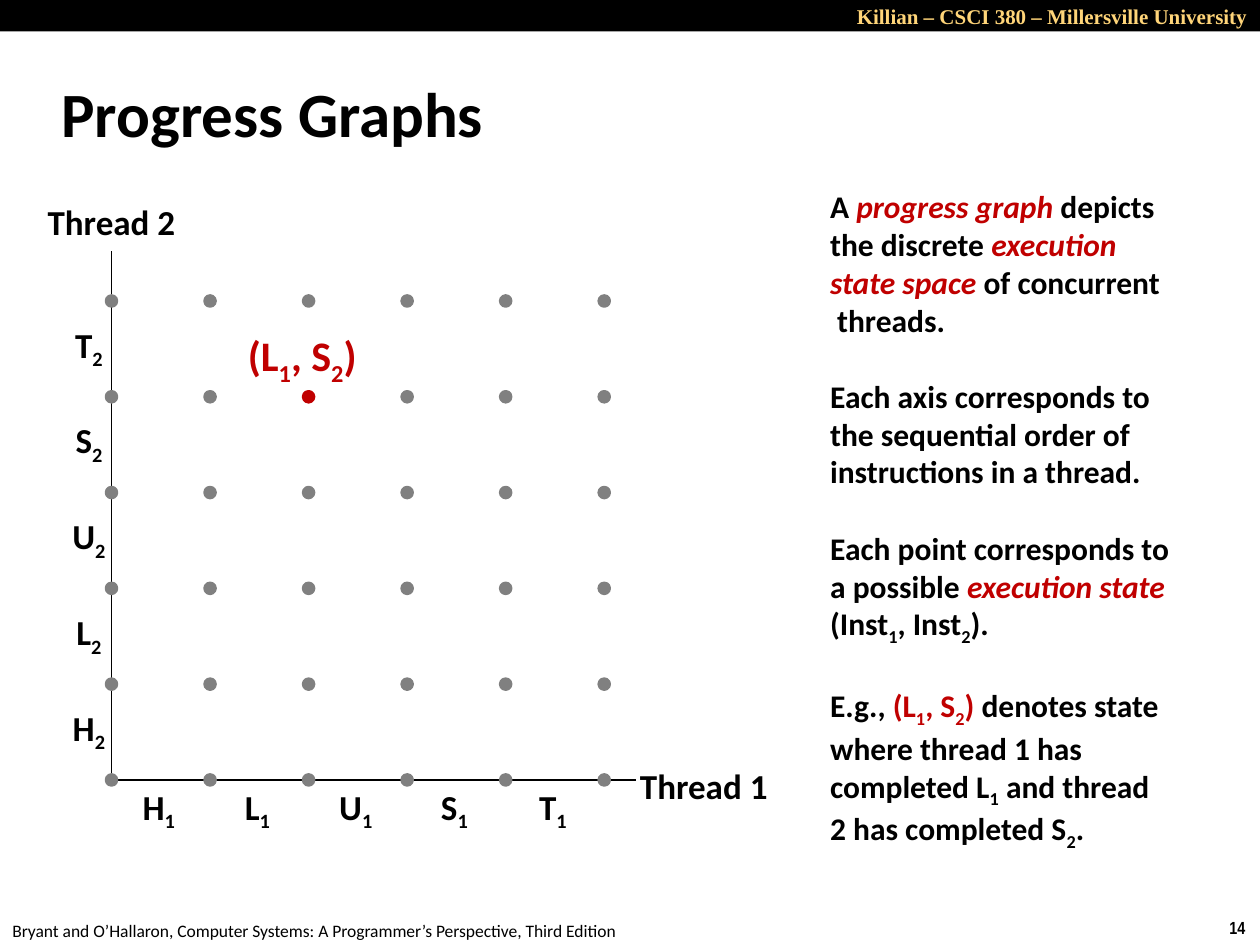
"""Builds the "Progress Graphs" slide on a grid of 100 columns by 75 rows."""
from dataclasses import dataclass
from itertools import product

from lxml import etree
from pptx import Presentation
from pptx.dml.color import RGBColor
from pptx.enum.shapes import MSO_CONNECTOR, MSO_SHAPE
from pptx.enum.text import MSO_ANCHOR, PP_ALIGN
from pptx.oxml.ns import qn
from pptx.util import Inches, Pt

STRAIGHT = MSO_CONNECTOR.STRAIGHT
RECTANGLE, OVAL = MSO_SHAPE.RECTANGLE, MSO_SHAPE.OVAL
TOP, MIDDLE = MSO_ANCHOR.TOP, MSO_ANCHOR.MIDDLE
LEFT, CENTER, RIGHT = PP_ALIGN.LEFT, PP_ALIGN.CENTER, PP_ALIGN.RIGHT
COLUMNS, ROWS = 100, 75
CELL = Inches(0.1)


@dataclass(frozen=True)
class Theme:
    """Colours, fonts and type sizes of the slide."""
    ink: str = "000000"
    accent: str = "C00000"
    dot: str = "808080"
    gold: str = "FFD579"
    body_font: str = "Calibri"
    banner_font: str = "Times New Roman"
    number_font: str = "Arial Narrow"
    title: int = 36
    state: int = 24
    label: int = 20
    body: int = 18
    banner: int = 12
    footer: int = 10
    paragraph_gap: int = 22


THEME = Theme()
STYLES = {
    "plain": {},
    "term": {"color": THEME.accent, "italic": True},
    "state": {"color": THEME.accent},
}
EXPLANATION = [
    [[("A ", "plain"), ("progress graph ", "term"), ("depicts", "plain")],
     [("the discrete ", "plain"), ("execution", "term")],
     [("state space", "term"), (" of concurrent", "plain")],
     [(" threads.", "plain")]],
    [[("Each axis corresponds to", "plain")],
     [("the sequential order of", "plain")],
     [("instructions in a thread.", "plain")]],
    [[("Each point corresponds to", "plain")],
     [("a possible ", "plain"), ("execution state", "term")],
     [("(Inst_1, Inst_2).", "plain")]],
    [[("E.g., ", "plain"), ("(L_1, S_2) ", "state"), ("denotes state", "plain")],
     [("where thread 1 has", "plain")],
     [("completed L_1 and thread", "plain")],
     [("2 has completed S_2.", "plain")]],
]


@dataclass(frozen=True)
class Box:
    """A rectangle in grid columns and rows."""
    left: float
    top: float
    width: float
    height: float

    def lengths(self):
        """Return left, top, width and height as slide lengths."""
        values = (self.left, self.top, self.width, self.height)
        return [round(value * CELL) for value in values]

    def centred(self, x, y, width, height):
        """Return a box centred at a share of this box's width and height."""
        return Box(self.left + x * self.width - width / 2,
                   self.top + y * self.height - height / 2, width, height)


def add_run(paragraph, text, font, size, color, bold=True, italic=False, subscript=False):
    """Add one formatted run to a paragraph."""
    run = paragraph.add_run()
    run.text = text
    formats = {"name": font, "size": Pt(size), "bold": bold, "italic": italic}
    for name, value in formats.items():
        setattr(run.font, name, value)
    run.font.color.rgb = RGBColor.from_string(color)
    if subscript:
        run.font._element.set("baseline", "-25000")


def add_marked_text(paragraph, text, **formats):
    """Add text in which an underscore lowers the character after it."""
    first, *rest = text.split("_")
    add_run(paragraph, first, **formats)
    for part in rest:
        add_run(paragraph, part[0], subscript=True, **formats)
        if part[1:]:
            add_run(paragraph, part[1:], **formats)


def add_text_frame(slide, box, anchor):
    """Add a wrapping text box and return its frame."""
    frame = slide.shapes.add_textbox(*box.lengths()).text_frame
    for name, value in {"word_wrap": True, "vertical_anchor": anchor}.items():
        setattr(frame, name, value)
    return frame


def add_label(slide, box, text, size, color=THEME.ink, font=THEME.body_font,
              align=CENTER, anchor=MIDDLE, bold=True):
    """Place a one-line text in the box."""
    paragraph = add_text_frame(slide, box, anchor).paragraphs[0]
    paragraph.alignment = align
    add_marked_text(paragraph, text, font=font, size=size, color=color, bold=bold)


def add_solid(slide, kind, box, color, line_width=0):
    """Place a flat shape of one colour in the box."""
    shape = slide.shapes.add_shape(kind, *box.lengths())
    shape.shadow.inherit = False
    shape.fill.solid()
    shape.fill.fore_color.rgb = RGBColor.from_string(color)
    if line_width:
        shape.line.color.rgb = RGBColor.from_string(color)
        shape.line.width = Pt(line_width)
    else:
        shape.line.fill.background()


def add_axis(slide, *ends):
    """Draw a thin straight axis between two grid points."""
    axis = slide.shapes.add_connector(STRAIGHT, *(round(end * CELL) for end in ends))
    axis.line.color.rgb = RGBColor.from_string(THEME.ink)
    axis.line.width = Pt(1)
    etree.SubElement(axis._element.spPr, qn("a:effectLst"))


def add_banner(slide, box):
    """Place the course banner."""
    add_solid(slide, RECTANGLE, box, THEME.ink)
    add_label(slide, box, "Killian – CSCI 380 – Millersville University",
              THEME.banner, THEME.gold, THEME.banner_font, RIGHT)


def add_footer(slide, box):
    """Place the book title and the slide number."""
    number_width = 3.4
    credit = Box(box.left, box.top, box.width * 0.6, box.height)
    number = Box(box.left + box.width - number_width, box.top - 0.2,
                 number_width, box.height)
    add_label(slide, credit,
              "Bryant and O’Hallaron, Computer Systems: A Programmer’s Perspective, Third Edition",
              THEME.footer, align=LEFT, anchor=TOP, bold=False)
    add_label(slide, number, "14", THEME.footer, font=THEME.number_font,
              align=LEFT, anchor=TOP)


def add_progress_graph(slide, box):
    """Draw the axes, state dots and instruction labels."""
    column, row = 0.188, 0.181
    right, bottom = box.left + box.width, box.top + box.height
    add_axis(slide, box.left, bottom, right, bottom)
    add_axis(slide, box.left, bottom, box.left, box.top)
    for index, name in enumerate("HLUST"):
        below = box.centred((index + 0.48) * column, 1.055, 5, 4.4)
        beside = box.centred(-0.043, 1 - (index + 0.52) * row, 5, 4.4)
        add_label(slide, below, f"{name}_1", THEME.label)
        add_label(slide, beside, f"{name}_2", THEME.label)
    add_label(slide, box.centred(1.13, 1.01, 13, 4.4), "Thread 1", THEME.label)
    add_label(slide, box.centred(0, -0.056, 13, 4.4), "Thread 2", THEME.label)
    for step_1, step_2 in product(range(6), repeat=2):
        color = THEME.accent if (step_1, step_2) == (2, 4) else THEME.dot
        dot = box.centred(step_1 * column, 1 - step_2 * row, 0.8, 0.8)
        add_solid(slide, OVAL, dot, color, line_width=2)
    add_label(slide, box.centred(2 * column - 0.012, 0.204, 12, 5), "(L_1, S_2)",
              THEME.state, THEME.accent)


def add_explanation(slide, box):
    """Place the explanatory paragraphs."""
    frame = add_text_frame(slide, box, MIDDLE)
    base = {"font": THEME.body_font, "size": THEME.body, "color": THEME.ink}
    for position, lines in enumerate(EXPLANATION):
        paragraph = frame.add_paragraph() if position else frame.paragraphs[0]
        if position:
            paragraph.space_before = Pt(THEME.paragraph_gap)
        for line_number, line in enumerate(lines):
            if line_number:
                paragraph.add_line_break()
            for text, style in line:
                add_marked_text(paragraph, text, **{**base, **STYLES[style]})


def main():
    """Build and save the presentation."""
    presentation = Presentation()
    presentation.slide_width, presentation.slide_height = COLUMNS * CELL, ROWS * CELL
    slide = presentation.slides.add_slide(presentation.slide_layouts[6])
    add_banner(slide, Box(0, 0, COLUMNS, 2.5))
    add_footer(slide, Box(0, 72.5, COLUMNS, 2.5))
    add_label(slide, Box(3.9, 4.8, 83, 8.3), "Progress Graphs", THEME.title, align=LEFT)
    add_explanation(slide, Box(64.9, 15, 32, 52.5))
    add_progress_graph(slide, Box(8.85, 19.9, 41.6, 42))
    presentation.save("out.pptx")


if __name__ == "__main__":
    main()
